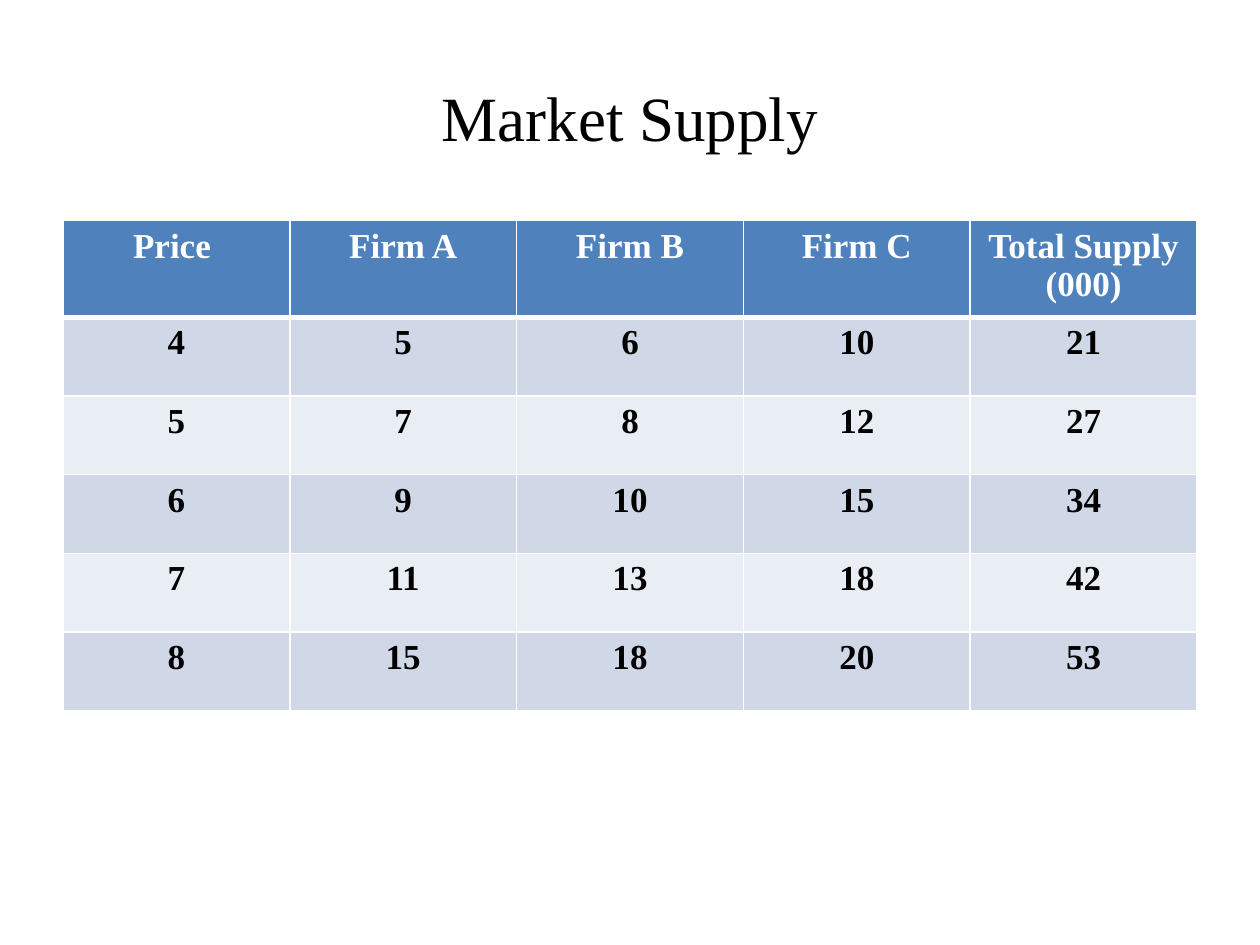
from lxml.etree import SubElement
from pptx import Presentation
from pptx.dml.color import RGBColor
from pptx.enum.text import MSO_ANCHOR as Anchor, PP_ALIGN as Align
from pptx.oxml.ns import qn
from pptx.util import Inches, Pt

TITLE = "Market Supply"
HEADERS = ("Price ", "Firm A", "Firm B", "Firm C", "Total Supply (000)")
SUPPLY = (
    (4, 5, 6, 10, 21),
    (5, 7, 8, 12, 27),
    (6, 9, 10, 15, 34),
    (7, 11, 13, 18, 42),
    (8, 15, 18, 20, 53),
)

THEME = {
    "font": "Times New Roman",
    "title_size": 36,
    "cell_size": 20,
    "text": "000000",
    "header_text": "FFFFFF",
    "header_fill": "4F81BD",
    "bands": ("D0D8E8", "E9EDF4"),
    "border": "FFFFFF",
    "border_width": 1,
    "header_rule": 3,
}

WIDTH, HEIGHT = Inches(10), Inches(7.5)
MARGIN, CONTENT_WIDTH = 0.05, 0.9
TITLE_TOP, TITLE_HEIGHT = 0.04, 1 / 6
TABLE_TOP, TABLE_HEIGHT = 7 / 30, 0.5


def place(top, height):
    shares = ((MARGIN, WIDTH), (top, HEIGHT), (CONTENT_WIDTH, WIDTH), (height, HEIGHT))
    return [round(share * size) for share, size in shares]


def write(text_frame, text, size, color, bold=False):
    paragraph = text_frame.paragraphs[0]
    paragraph.alignment = Align.CENTER
    run = paragraph.add_run()
    run.text = text
    formats = {"name": THEME["font"], "size": Pt(size), "bold": bold}
    for name, value in formats.items():
        setattr(run.font, name, value)
    run.font.color.rgb = RGBColor.from_string(color)


def add_borders(cell, widths):
    properties = cell._tc.get_or_add_tcPr()
    for index, (side, width) in enumerate(widths.items()):
        line = properties.makeelement(qn(f"a:ln{side}"), {"w": str(Pt(width))})
        fill = SubElement(line, qn("a:solidFill"))
        SubElement(fill, qn("a:srgbClr"), val=THEME["border"])
        properties.insert(index, line)


def add_title(slide):
    text_frame = slide.shapes.add_textbox(*place(TITLE_TOP, TITLE_HEIGHT)).text_frame
    formats = {"word_wrap": True, "vertical_anchor": Anchor.MIDDLE}
    for name, value in formats.items():
        setattr(text_frame, name, value)
    write(text_frame, TITLE, THEME["title_size"], THEME["text"])


def add_supply_table(slide):
    rows = (HEADERS, *SUPPLY)
    frame = slide.shapes.add_table(len(rows), len(HEADERS), *place(TABLE_TOP, TABLE_HEIGHT))
    for row_index, values in enumerate(rows):
        is_header = row_index == 0
        fill = THEME["header_fill"] if is_header else THEME["bands"][(row_index - 1) % 2]
        color = THEME["header_text"] if is_header else THEME["text"]
        widths = dict.fromkeys("LRTB", THEME["border_width"])
        if is_header:
            widths["B"] = THEME["header_rule"]
        elif row_index == 1:
            widths["T"] = THEME["header_rule"]
        for column_index, value in enumerate(values):
            cell = frame.table.cell(row_index, column_index)
            cell.fill.solid()
            cell.fill.fore_color.rgb = RGBColor.from_string(fill)
            write(cell.text_frame, str(value), THEME["cell_size"], color, bold=True)
            add_borders(cell, widths)


def main():
    presentation = Presentation()
    presentation.slide_width, presentation.slide_height = WIDTH, HEIGHT
    slide = presentation.slides.add_slide(presentation.slide_layouts[6])
    add_title(slide)
    add_supply_table(slide)
    presentation.save("out.pptx")


if __name__ == "__main__":
    main()
